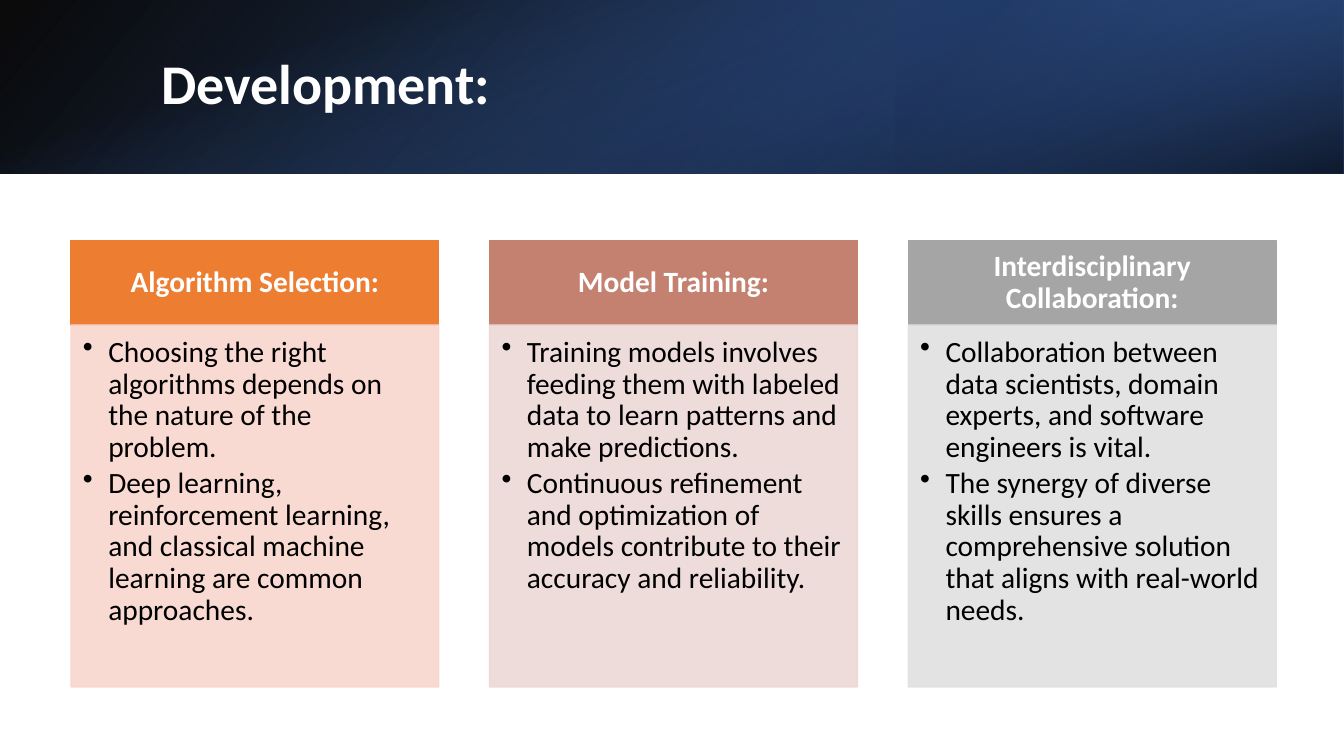
import pptx
import pptx.dml.color
import pptx.enum.shapes
import pptx.enum.text
import pptx.oxml.ns
import pptx.util
from lxml import etree
from pptx.dml.color import RGBColor
from pptx.util import Cm

WHITE = RGBColor(0xFF, 0xFF, 0xFF)
BLACK = RGBColor(0x00, 0x00, 0x00)
BLUE = RGBColor(0x44, 0x72, 0xC4)
DEEP_BLUE = RGBColor(0x2F, 0x55, 0x97)
NAVY = RGBColor(0x20, 0x38, 0x64)
ORANGE = RGBColor(0xED, 0x7D, 0x31)
PEACH = RGBColor(0xF8, 0xD7, 0xCE)
CLAY = RGBColor(0xC4, 0x81, 0x70)
ROSE = RGBColor(0xED, 0xD9, 0xD7)
GREY = RGBColor(0xA5, 0xA5, 0xA5)
LIGHT_GREY = RGBColor(0xE1, 0xE1, 0xE1)

FONT = "Calibri"
SLIDE_WIDTH, SLIDE_HEIGHT = Cm(33.87), Cm(19.05)
BANNER_HEIGHT = Cm(4.37)
CARD_GAP = Cm(1.28)
HEADING_HEIGHT = Cm(2.13)

CARDS = [
    ("Algorithm Selection:", ORANGE, PEACH, [
        "Choosing the right algorithms depends on the nature of the problem.",
        "Deep learning, reinforcement learning, and classical machine learning are common approaches.",
    ]),
    ("Model Training:", CLAY, ROSE, [
        "Training models involves feeding them with labeled data to learn patterns and make predictions.",
        "Continuous refinement and optimization of models contribute to their accuracy and reliability.",
    ]),
    ("Interdisciplinary Collaboration:", GREY, LIGHT_GREY, [
        "Collaboration between data scientists, domain experts, and software engineers is vital.",
        "The synergy of diverse skills ensures a comprehensive solution that aligns with real-world needs.",
    ]),
]


def add_rectangle(slide, left, top, width, height):
    """Add a rectangle without a shadow."""
    shape = slide.shapes.add_shape(
        pptx.enum.shapes.MSO_SHAPE.RECTANGLE, left, top, width, height)
    shape.shadow.inherit = False
    return shape


def set_opacity(shape, percentages):
    """Give each colour of the shape, in order, its opacity."""
    colours = list(shape.element.spPr.iter(pptx.oxml.ns.qn("a:srgbClr")))
    for colour, percentage in zip(colours, percentages):
        alpha = etree.SubElement(colour, pptx.oxml.ns.qn("a:alpha"))
        alpha.set("val", str(percentage * 1000))


def add_gradient(slide, box, stops, angle, rotation=0, flip=False):
    """Add a gradient rectangle; stops are (position, colour, opacity)."""
    shape = add_rectangle(slide, *box)
    shape.line.fill.background()
    shape.rotation = rotation
    if flip:
        shape.element.spPr.xfrm.set("flipH", "1")
    shape.fill.gradient()
    shape.fill.gradient_angle = 360 - angle
    for stop, (position, colour, _) in zip(shape.fill.gradient_stops, stops):
        stop.position = position
        stop.color.rgb = colour
    set_opacity(shape, [opacity for _, _, opacity in stops])


def add_banner(slide, left, top, width, height):
    """Layer three gradients into the banner and set the title on it."""
    add_gradient(slide, (left, top, width, height),
                 [(0, BLACK, 96), (1, DEEP_BLUE, 100)], 140, flip=True)
    third = width // 3
    add_gradient(slide, (left + width - third, top, third, height),
                 [(0.19, NAVY, 68), (1, BLUE, 79)], 320, rotation=180, flip=True)
    offset = (width - height) // 2
    add_gradient(slide, (left + offset, top - offset, height, width),
                 [(0.23, BLUE, 0), (0.99, BLACK, 74)], 340, rotation=90)

    title = slide.shapes.title
    slide.shapes.element.append(title.element)
    title.left, title.top = left + Cm(3.81), top + Cm(0.96)
    title.width, title.height = Cm(27.89), Cm(2.44)
    frame = title.text_frame
    frame.text = "Development:"
    frame.word_wrap = True
    frame.auto_size = pptx.enum.text.MSO_AUTO_SIZE.NONE
    frame.vertical_anchor = pptx.enum.text.MSO_ANCHOR.MIDDLE
    format_paragraph(frame.paragraphs[0], 40, WHITE, True,
                     pptx.enum.text.PP_ALIGN.LEFT)


def format_paragraph(paragraph, size, colour, bold, alignment):
    """Set the alignment, line spacing and font of a paragraph."""
    paragraph.alignment = alignment
    paragraph.line_spacing = 0.9
    for run in paragraph.runs:
        run.font.name = FONT
        run.font.size = pptx.util.Pt(size)
        run.font.bold = bold
        run.font.color.rgb = colour


def add_bullet(paragraph):
    """Give a paragraph a hanging round bullet."""
    properties = paragraph._p.get_or_add_pPr()
    properties.set("marL", str(Cm(0.64)))
    properties.set("indent", str(-Cm(0.64)))
    bullet = etree.SubElement(properties, pptx.oxml.ns.qn("a:buChar"))
    bullet.set("char", "•")


def add_panel(slide, box, colour, margins, anchor, opacity=100):
    """Add a filled text panel and return its text frame."""
    shape = add_rectangle(slide, *box)
    shape.fill.solid()
    shape.fill.fore_color.rgb = colour
    shape.line.color.rgb = colour
    shape.line.width = pptx.util.Pt(1)
    set_opacity(shape, [opacity, opacity])
    frame = shape.text_frame
    frame.word_wrap = True
    frame.vertical_anchor = anchor
    (frame.margin_left, frame.margin_top,
     frame.margin_right, frame.margin_bottom) = map(Cm, margins)
    return frame


def add_card(slide, left, top, width, height, card):
    """Add a coloured heading with a bulleted panel below it."""
    heading, heading_colour, panel_colour, points = card
    frame = add_panel(slide, (left, top, width, HEADING_HEIGHT), heading_colour,
                      (0.41, 0.23, 0.41, 0.23), pptx.enum.text.MSO_ANCHOR.MIDDLE)
    frame.text = heading
    format_paragraph(frame.paragraphs[0], 21, WHITE, True,
                     pptx.enum.text.PP_ALIGN.CENTER)

    frame = add_panel(
        slide, (left, top + HEADING_HEIGHT, width, height - HEADING_HEIGHT),
        panel_colour, (0.3, 0.3, 0.41, 0.46), pptx.enum.text.MSO_ANCHOR.TOP, 90)
    frame.text = "\n".join(points)
    for paragraph in frame.paragraphs:
        add_bullet(paragraph)
        paragraph.level = 1
        paragraph.space_after = pptx.util.Pt(3)
        format_paragraph(paragraph, 21, BLACK, False,
                         pptx.enum.text.PP_ALIGN.LEFT)


def add_cards(slide, left, top, width, height):
    """Spread the cards evenly across the box."""
    card_width = (width - CARD_GAP * (len(CARDS) - 1)) // len(CARDS)
    for index, card in enumerate(CARDS):
        card_left = left + index * (card_width + CARD_GAP)
        add_card(slide, card_left, top, card_width, height, card)


def main():
    """Build the slide and save the presentation."""
    presentation = pptx.Presentation()
    presentation.slide_width = SLIDE_WIDTH
    presentation.slide_height = SLIDE_HEIGHT
    slide = presentation.slides.add_slide(presentation.slide_layouts[5])
    add_banner(slide, 0, 0, SLIDE_WIDTH, BANNER_HEIGHT)
    add_cards(slide, Cm(1.79), Cm(6.06), Cm(30.37), Cm(11.25))
    presentation.save("out.pptx")


if __name__ == "__main__":
    main()
